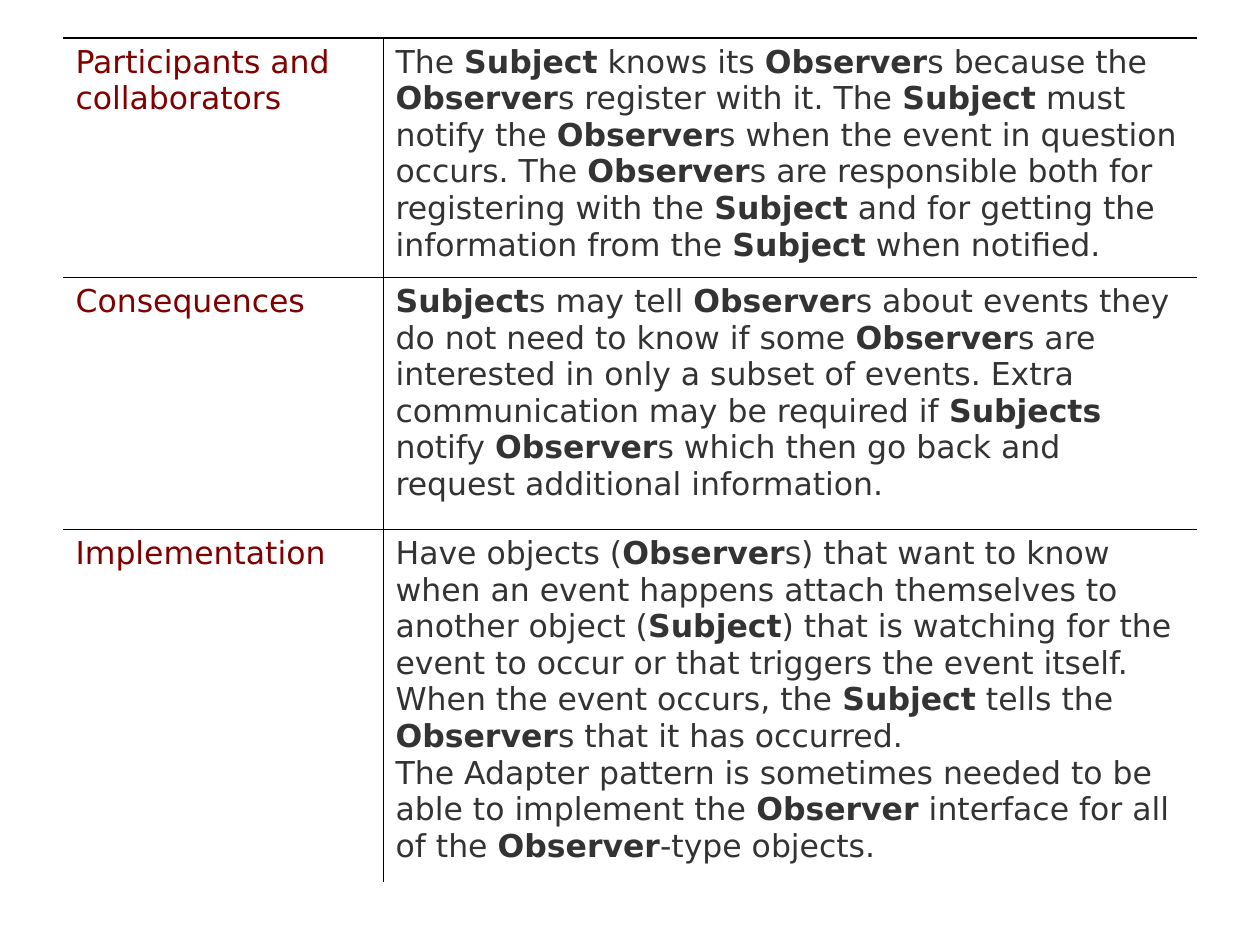
from dataclasses import dataclass

from lxml import etree
from pptx import Presentation
from pptx.dml.color import RGBColor
from pptx.oxml.ns import qn
from pptx.util import Inches, Pt

FONT = "DejaVu Sans"
LABEL, BODY, RULE = "800000", "333333", "000000"
THIN, THICK = 0.45, 1.08
COL_WIDTHS = (2.54, 6.46)


@dataclass
class Section:
    label: str
    paragraphs: list[str]
    height: float


SECTIONS = [
    Section(
        "Participants and collaborators",
        [
            "The **Subject** knows its **Observer**s because the **Observer**s "
            "register with it. The **Subject** must notify the **Observer**s when "
            "the event in question occurs. The **Observer**s are responsible both "
            "for registering with the **Subject** and for getting the information "
            "from the **Subject** when notified."
        ],
        1.9,
    ),
    Section(
        "Consequences",
        [
            "**Subject**s may tell **Observer**s about events they do not need to "
            "know if some **Observer**s are interested in only a subset of events. "
            "Extra communication may be required if **Subjects** notify "
            "**Observer**s which then go back and request additional information."
        ],
        2.0,
    ),
    Section(
        "Implementation",
        [
            "Have objects (**Observer**s) that want to know when an event happens "
            "attach themselves to another object (**Subject**) that is watching for "
            "the event to occur or that triggers the event itself.",
            "When the event occurs, the **Subject** tells the **Observer**s that it "
            "has occurred.",
            "The Adapter pattern is sometimes needed to be able to implement the "
            "**Observer** interface for all of the **Observer**-type objects.",
        ],
        2.8,
    ),
]


def rgb(color: str) -> RGBColor:
    return RGBColor.from_string(color)


def set_borders(cell, widths: dict[str, float]) -> None:
    tcPr = cell._tc.get_or_add_tcPr()
    for side in "LRTB":
        ln = etree.SubElement(tcPr, qn(f"a:ln{side}"))
        if side in widths:
            ln.set("w", str(int(Pt(widths[side]))))
            fill = etree.SubElement(ln, qn("a:solidFill"))
            etree.SubElement(fill, qn("a:srgbClr"), val=RULE)
        else:
            etree.SubElement(ln, qn("a:noFill"))


def write_cell(cell, paragraphs: list[str], color: str) -> None:
    tf = cell.text_frame
    for i, text in enumerate(paragraphs):
        p = tf.add_paragraph() if i else tf.paragraphs[0]
        for j, part in enumerate(text.split("**")):
            if not part:
                continue
            r = p.add_run()
            r.text = part
            formats = {"name": FONT, "size": Pt(18), "bold": j % 2 == 1}
            for name, value in formats.items():
                setattr(r.font, name, value)
            r.font.color.rgb = rgb(color)


def add_sections(s, sections: list[Section]) -> None:
    height = sum(section.height for section in sections)
    table = s.shapes.add_table(
        len(sections), len(COL_WIDTHS),
        Inches(0.5), Inches(0.3), Inches(sum(COL_WIDTHS)), Inches(height),
    ).table
    table.first_row = table.horz_banding = False
    for column, width in zip(table.columns, COL_WIDTHS):
        column.width = Inches(width)
    for i, section in enumerate(sections):
        table.rows[i].height = Inches(section.height)
        rules = {"T": THIN if i else THICK}
        if i < len(sections) - 1:
            rules["B"] = THIN
        contents = (([section.label], LABEL, "R"), (section.paragraphs, BODY, "L"))
        for j, (paragraphs, color, divider) in enumerate(contents):
            cell = table.cell(i, j)
            write_cell(cell, paragraphs, color)
            set_borders(cell, rules | {divider: THIN})
            cell.fill.background()


def main() -> None:
    prs = Presentation()
    prs.slide_width, prs.slide_height = Inches(10), Inches(7.5)
    s = prs.slides.add_slide(prs.slide_layouts[6])
    add_sections(s, SECTIONS)
    prs.save("out.pptx")


if __name__ == "__main__":
    main()
